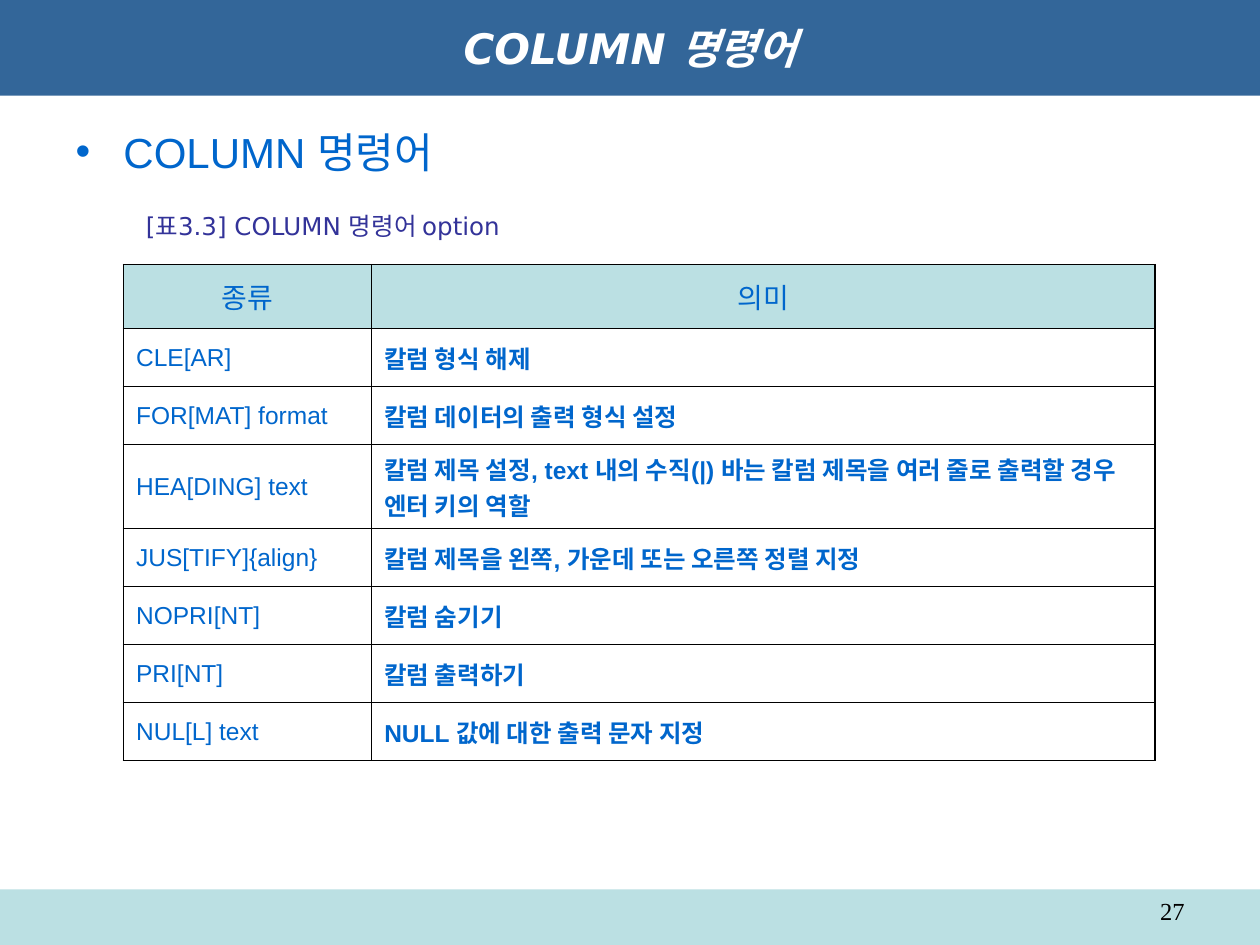
"""Build the slide on the COLUMN command and its table of options."""
import pptx
import pptx.dml.color
import pptx.enum.shapes
import pptx.enum.text
import pptx.oxml
import pptx.oxml.ns
import pptx.util
from lxml import etree

Inches, Pt = pptx.util.Inches, pptx.util.Pt
RGB = pptx.dml.color.RGBColor.from_string
Align, Anchor = pptx.enum.text.PP_ALIGN, pptx.enum.text.MSO_ANCHOR
hues = {"navy": "336699", "teal": "BBE0E3", "blue": "0066CC",
        "violet": "333399", "white": "FFFFFF", "black": "000000"}


def write(frame, text, hue, align=Align.LEFT, **fonts):
    """Fill the first paragraph of a frame with formatted text."""
    para = frame.paragraphs[0]
    para.alignment = align
    para.space_before = Pt(0)
    run = para.add_run()
    run.text = text
    run.font.color.rgb = RGB(hues[hue])
    for name, value in fonts.items():
        setattr(run.font, name, value)
    return para


def place(shape, *box):
    """Move and size a shape, with lengths in inches."""
    for name, value in zip(("left", "top", "width", "height"), box):
        setattr(shape, name, Inches(value))


deck = pptx.Presentation()
deck.slide_width, deck.slide_height = Inches(10), Inches(7.5)
slide = deck.slides.add_slide(deck.slide_layouts[1])
shapes = slide.shapes

bar = shapes.add_shape(pptx.enum.shapes.MSO_SHAPE.RECTANGLE,
                       Inches(0), Inches(7.06), Inches(10), Inches(0.44))
bar.shadow.inherit = False
bar.fill.solid()
bar.fill.fore_color.rgb = RGB(hues["teal"])
bar.line.fill.background()
shapes._spTree.insert(2, bar._element)

title, body = slide.placeholders
place(title, 0, 0, 10, 0.76)
title.fill.solid()
title.fill.fore_color.rgb = RGB(hues["navy"])
write(title.text_frame, "COLUMN 명령어", "white", Align.CENTER,
      size=Pt(24), name="DejaVu Sans", bold=True, italic=True)

place(body, 0.5, 0.95, 9, 5.95)
item = write(body.text_frame, "COLUMN 명령어", "blue", size=Pt(24), name="Arial")
props = item._p.get_or_add_pPr()
props.set("marL", str(Inches(0.38)))
props.set("indent", str(-Inches(0.38)))
space = pptx.oxml.ns.nsdecls("a")
for part in (f'<a:buClr {space}><a:srgbClr val="{hues["blue"]}"/></a:buClr>',
             f'<a:buChar {space} char="•"/>'):
    props.append(pptx.oxml.parse_xml(part))
for shape, anchor in ((title, Anchor.MIDDLE), (body, Anchor.TOP)):
    shape.text_frame.auto_size = pptx.enum.text.MSO_AUTO_SIZE.NONE
    shape.text_frame.vertical_anchor = anchor

rows = [
    ("종류", "의미"),
    ("CLE[AR]", "칼럼 형식 해제"),
    ("FOR[MAT] format", "칼럼 데이터의 출력 형식 설정"),
    ("HEA[DING] text", "칼럼 제목 설정, text 내의 수직(|) 바는 칼럼 제목을 "
     "여러 줄로 출력할 경우 엔터 키의 역할"),
    ("JUS[TIFY]{align}", "칼럼 제목을 왼쪽, 가운데 또는 오른쪽 정렬 지정"),
    ("NOPRI[NT]", "칼럼 숨기기"),
    ("PRI[NT]", "칼럼 출력하기"),
    ("NUL[L] text", "NULL 값에 대한 출력 문자 지정"),
]
tall = {0: 0.51, 3: 0.66}
table = shapes.add_table(len(rows), 2, Inches(0.98), Inches(2.1),
                         Inches(8.19), Inches(3.94)).table
for col, width in zip(table.columns, (1.97, 6.22)):
    col.width = Inches(width)
for r, texts in enumerate(rows):
    table.rows[r].height = Inches(tall.get(r, 0.46))
    head = r == 0
    for c, text in enumerate(texts):
        cell = table.cell(r, c)
        cell.vertical_anchor = Anchor.MIDDLE
        cell.fill.solid()
        cell.fill.fore_color.rgb = RGB(hues["teal" if head else "white"])
        write(cell.text_frame, text, "blue", Align.CENTER if head else Align.LEFT,
              size=Pt(16 if head else 14), name="Arial", bold=not head and c == 1)
        outer = {"L": c == 0, "R": c == 1, "T": head, "B": r == len(rows) - 1}
        for spot, (side, edge) in enumerate(outer.items()):
            line = pptx.oxml.parse_xml(
                f'<a:ln{side} {space} w="{Pt(1.08 if edge else 0.45)}"><a:solidFill>'
                f'<a:srgbClr val="{hues["black"]}"/></a:solidFill></a:ln{side}>')
            cell._tc.get_or_add_tcPr().insert(spot, line)

notes = [
    ((1.06, 1.62, 3.1, 0.34), "[표3.3] COLUMN 명령어 option", "violet",
     Align.LEFT, Anchor.MIDDLE, "DejaVu Sans"),
    ((7.17, 7.06, 2.33, 0.29), "27", "black",
     Align.RIGHT, Anchor.TOP, "Times New Roman"),
]
for box, text, hue, align, anchor, font in notes:
    frame = shapes.add_textbox(*map(Inches, box)).text_frame
    frame.word_wrap = True
    frame.vertical_anchor = anchor
    write(frame, text, hue, align, size=Pt(14), name=font)

deck.save("out.pptx")
